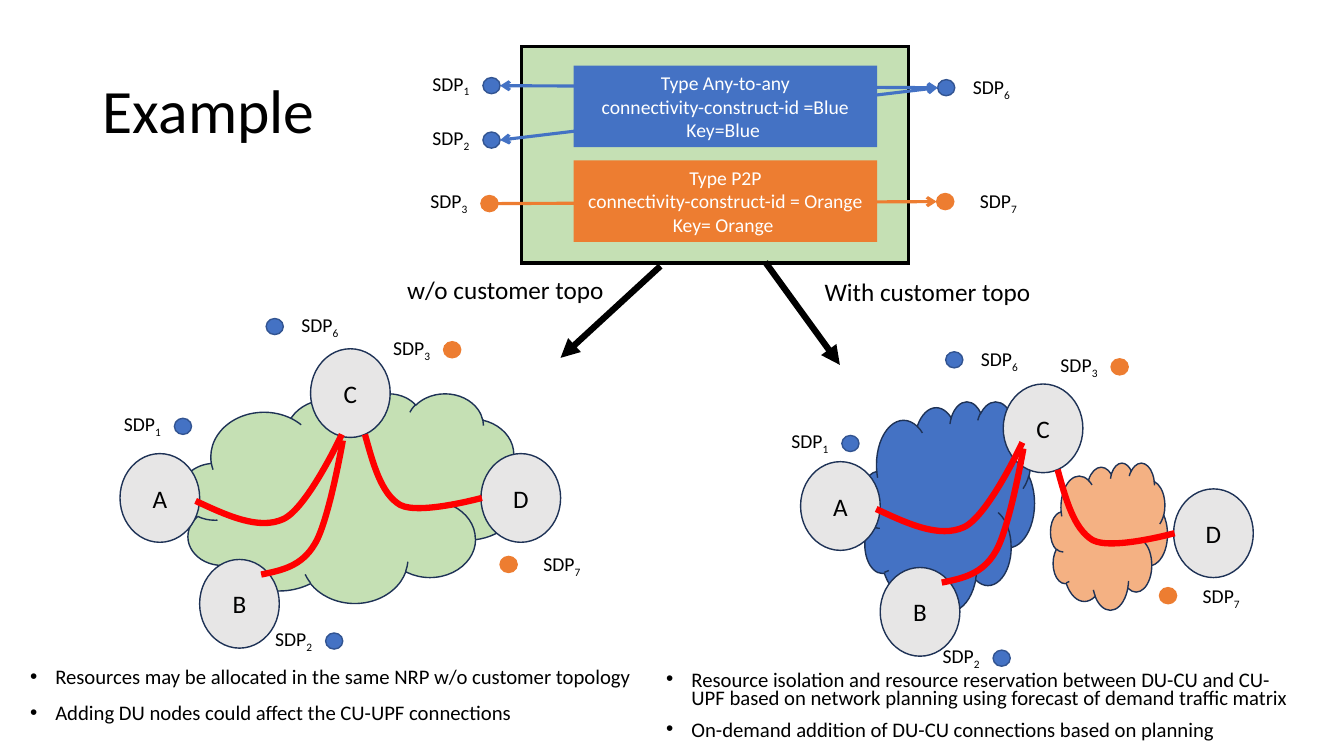
import pptx
import pptx.dml.color
import pptx.enum.shapes
import pptx.enum.text
import pptx.oxml
import pptx.oxml.ns
import pptx.util

COLUMNS, ROWS = 13.33, 7.5
BLACK, WHITE, RED = "000000", "FFFFFF", "FF0000"
BLUE, DARK_BLUE, NAVY = "4472C4", "325491", "1E3256"
ORANGE, PEACH, GREEN, GREY = "ED7D31", "F4B183", "C5E0B4", "E7E6E6"

SHAPES = pptx.enum.shapes.MSO_SHAPE
ALIGN = pptx.enum.text.PP_ALIGN
ANCHOR = pptx.enum.text.MSO_ANCHOR


def rgb(color):
    return pptx.dml.color.RGBColor.from_string(color)


def add_xml(parent, tag, **attributes):
    element = pptx.oxml.parse_xml(f"<a:{tag} {pptx.oxml.ns.nsdecls('a')}/>")
    for name, value in attributes.items():
        element.set(name, str(value))
    parent.append(element)
    return element


def write_text(shape, text, size=14, color=BLACK, font="Calibri", align=ALIGN.LEFT,
               anchor=ANCHOR.TOP, wrap=True, spacing=None, before=None, bullet=None):
    """Write one paragraph per line; an underscore starts a subscript."""
    frame = shape.text_frame
    frame.auto_size = pptx.enum.text.MSO_AUTO_SIZE.NONE
    frame.word_wrap = wrap
    frame.vertical_anchor = anchor
    for index, line in enumerate(text.split("\n")):
        paragraph = frame.add_paragraph() if index else frame.paragraphs[0]
        paragraph.alignment = align
        if spacing:
            paragraph.line_spacing = spacing
        if before:
            paragraph.space_before = pptx.util.Pt(before)
        if bullet:
            properties = paragraph._p.get_or_add_pPr()
            indent = pptx.util.Inches(0.25)
            properties.set("marL", str(indent))
            properties.set("indent", str(-indent))
            add_xml(properties, "buFont", typeface="Arial")
            add_xml(properties, "buChar", char=bullet)
        for position, part in enumerate(line.split("_")):
            run = paragraph.add_run()
            run.text = part
            run.font.size = pptx.util.Pt(size)
            run.font.name = font
            run.font.color.rgb = rgb(color)
            if position:
                run.font._element.set("baseline", "-25000")


class Diagram:
    def __init__(self, presentation):
        self.slide = presentation.slides.add_slide(presentation.slide_layouts[5])
        self.shapes = self.slide.shapes
        self.column = presentation.slide_width / COLUMNS
        self.row = presentation.slide_height / ROWS

    def place(self, *lengths):
        units = (self.column, self.row)
        return [round(length * units[i % 2]) for i, length in enumerate(lengths)]

    def outline(self, line, color, weight):
        line.color.rgb = rgb(color)
        line.width = pptx.util.Pt(weight)
        properties = line._get_or_add_ln()
        add_xml(properties, "miter", lim=800000)
        return properties

    def title(self, area, text, **style):
        shape = self.shapes.title
        shape.left, shape.top, shape.width, shape.height = self.place(*area)
        write_text(shape, text, **style)

    def text(self, area, text, inside=None, **style):
        box = (inside or self.shapes).add_textbox(*self.place(*area))
        write_text(box, text, **style)

    def shape(self, kind, area, fill, line=None, weight=1, text=None, inside=None, **style):
        shape = (inside or self.shapes).add_shape(kind, *self.place(*area))
        shape.shadow.inherit = False
        shape.fill.solid()
        shape.fill.fore_color.rgb = rgb(fill)
        if line:
            self.outline(shape.line, line, weight)
        else:
            shape.line.fill.background()
        if text:
            write_text(shape, text, align=ALIGN.CENTER, anchor=ANCHOR.MIDDLE, **style)

    def arrow(self, start, end, color, weight, head=None, tail=None):
        connector = self.shapes.add_connector(
            pptx.enum.shapes.MSO_CONNECTOR.STRAIGHT, *self.place(*start, *end))
        line = self.outline(connector.line, color, weight)
        if head:
            add_xml(line, "headEnd", type=head)
        if tail:
            add_xml(line, "tailEnd", type=tail)
        add_xml(connector._element.spPr, "effectLst")

    def curve(self, points, shift, color=RED, weight=4.5):
        """Draw joined cubic curves; each three further points add a curve."""
        points = [self.place(x + shift[0], y + shift[1]) for x, y in points]
        builder = self.shapes.build_freeform(*points[0])
        builder.add_line_segments(points[3::3], close=False)
        shape = builder.convert_to_shape()
        # Bend each straight segment with its two control points
        segments = shape._element.findall(".//" + pptx.oxml.ns.qn("a:lnTo"))
        for index, segment in enumerate(segments):
            bend = add_xml(segment.getparent(), "cubicBezTo")
            for x, y in points[3 * index + 1:3 * index + 4]:
                add_xml(bend, "pt", x=x - shape.left, y=y - shape.top)
            segment.getparent().replace(segment, bend)
        shape.shadow.inherit = False
        shape.fill.background()
        self.outline(shape.line, color, weight)

    def delivery_point(self, number, left, top):
        """Draw a dot and its SDP label, on the side that the number calls for."""
        fill, line = (ORANGE, ORANGE) if number in (3, 7) else (BLUE, DARK_BLUE)
        offset, rise, width = {6: (0.25, 0.1, 0.88), 7: (0.33, 0.09, 0.88),
                               3: (-0.6, 0.11, 0.63)}.get(number, (-0.6, 0.11, 0.58))
        group = self.shapes.add_group_shape().shapes
        self.shape(SHAPES.OVAL, (left, top, 0.17, 0.16), fill, line, inside=group)
        self.text((left + offset, top - rise, width, 0.34), f"SDP_{number}", inside=group)

    def network(self, clouds, near_shift, far_shift, points):
        """Draw clouds, nodes and paths; A and B move by near_shift, C and D by far_shift."""
        for area, fill in clouds:
            self.shape(SHAPES.CLOUD, area, fill, NAVY)
        for name, left, top in NODES:
            shift = near_shift if name in "AB" else far_shift
            self.shape(SHAPES.OVAL, (left + shift[0], top + shift[1], 0.79, 0.88),
                       GREY, NAVY, text=name, size=18)
        for name, path_points in PATHS.items():
            self.curve(path_points, far_shift if name == "CD" else near_shift)
        for point in points:
            self.delivery_point(*point)


NODES = [("A", 1.19, 4.5), ("C", 3.08, 3.46), ("D", 4.77, 4.5), ("B", 1.98, 5.55)]
PATHS = {
    "AC": [(1.94, 4.97), (2.26, 5.12), (2.57, 5.26), (2.81, 5.15),
           (3.05, 5.04), (3.39, 4.31), (3.39, 4.31)],
    "CD": [(3.62, 4.31), (3.7, 4.6), (3.78, 4.9), (3.97, 5.01),
           (4.16, 5.11), (4.78, 4.94), (4.78, 4.94)],
    "BC": [(2.59, 5.7), (2.79, 5.66), (2.99, 5.62), (3.12, 5.4),
           (3.26, 5.18), (3.4, 4.37), (3.4, 4.37)],
}

presentation = pptx.Presentation()
presentation.slide_width = pptx.util.Inches(COLUMNS)
presentation.slide_height = pptx.util.Inches(ROWS)
diagram = Diagram(presentation)

# Title and left-hand notes
diagram.title((0.92, 0.4, 11.5, 1.45), "Example", size=44, anchor=ANCHOR.MIDDLE, spacing=0.9)
notes = dict(size=14.8, before=10, bullet="\u2022")
diagram.text((0.2, 6.56, 6.47, 0.82),
             "Resources may be allocated in the same NRP w/o customer topology\n"
             "Adding DU nodes could affect the CU-UPF connections", spacing=0.9, **notes)

# Slice service with its connectivity constructs
diagram.shape(SHAPES.RECTANGLE, (5.17, 0.46, 3.84, 2.15), GREEN, BLACK, 2.25)
for point in [(1, 4.79, 0.77), (2, 4.79, 1.31), (3, 4.77, 1.94), (7, 9.29, 1.92), (6, 9.3, 0.79)]:
    diagram.delivery_point(*point)
for start in [(4.96, 0.85), (4.96, 1.39)]:
    diagram.arrow(start, (9.3, 0.87), BLUE, 2.25, head="arrow", tail="arrow")
diagram.arrow((4.94, 2.02), (9.29, 2), ORANGE, 2.25, tail="arrow")
for top, fill, text in [
        (0.65, BLUE, "Type Any-to-any\nconnectivity-construct-id =Blue\nKey=Blue "),
        (1.59, ORANGE, "Type P2P\nconnectivity-construct-id = Orange\nKey= Orange ")]:
    diagram.shape(SHAPES.RECTANGLE, (5.69, top, 3.01, 0.81), fill, text=text, color=WHITE)

# Arrows to the two realisations
for start, end in [((6.55, 2.64), (5.56, 3.55)), ((7.59, 2.6), (8.33, 3.62))]:
    diagram.arrow(start, end, BLACK, 4.5, tail="triangle")

# Shared network on the left, isolated networks on the right
diagram.network([((1.79, 3.9, 3.38, 2.08), GREEN)], (0, 0), (0, 0),
                [(1, 1.73, 4.15), (2, 3.23, 6.28), (6, 2.64, 3.16),
                 (3, 4.4, 3.39), (7, 4.96, 5.52)])
diagram.network([((10.42, 4.59, 1.16, 1.46), PEACH), ((8.54, 3.98, 1.72, 2.08), BLUE)],
                (6.75, 0.08), (6.87, 0.35),
                [(1, 8.35, 4.32), (2, 9.85, 6.45), (6, 9.38, 3.49),
                 (3, 11.02, 3.56), (7, 11.5, 5.83)])

# Arrow labels and right-hand notes
for area, text in [((3.94, 2.67, 2.17, 0.4), "w/o customer topo"),
                   ((8.08, 2.69, 2.26, 0.4), "With customer topo")]:
    diagram.text(area, text, size=18, wrap=False)
diagram.text((6.51, 6.63, 6.47, 0.82),
             "Resource isolation and resource reservation between DU-CU and CU-UPF based on "
             "network planning using forecast of demand traffic matrix\n"
             "On-demand addition of DU-CU connections based on planning", spacing=0.72, **notes)

presentation.save("out.pptx")
